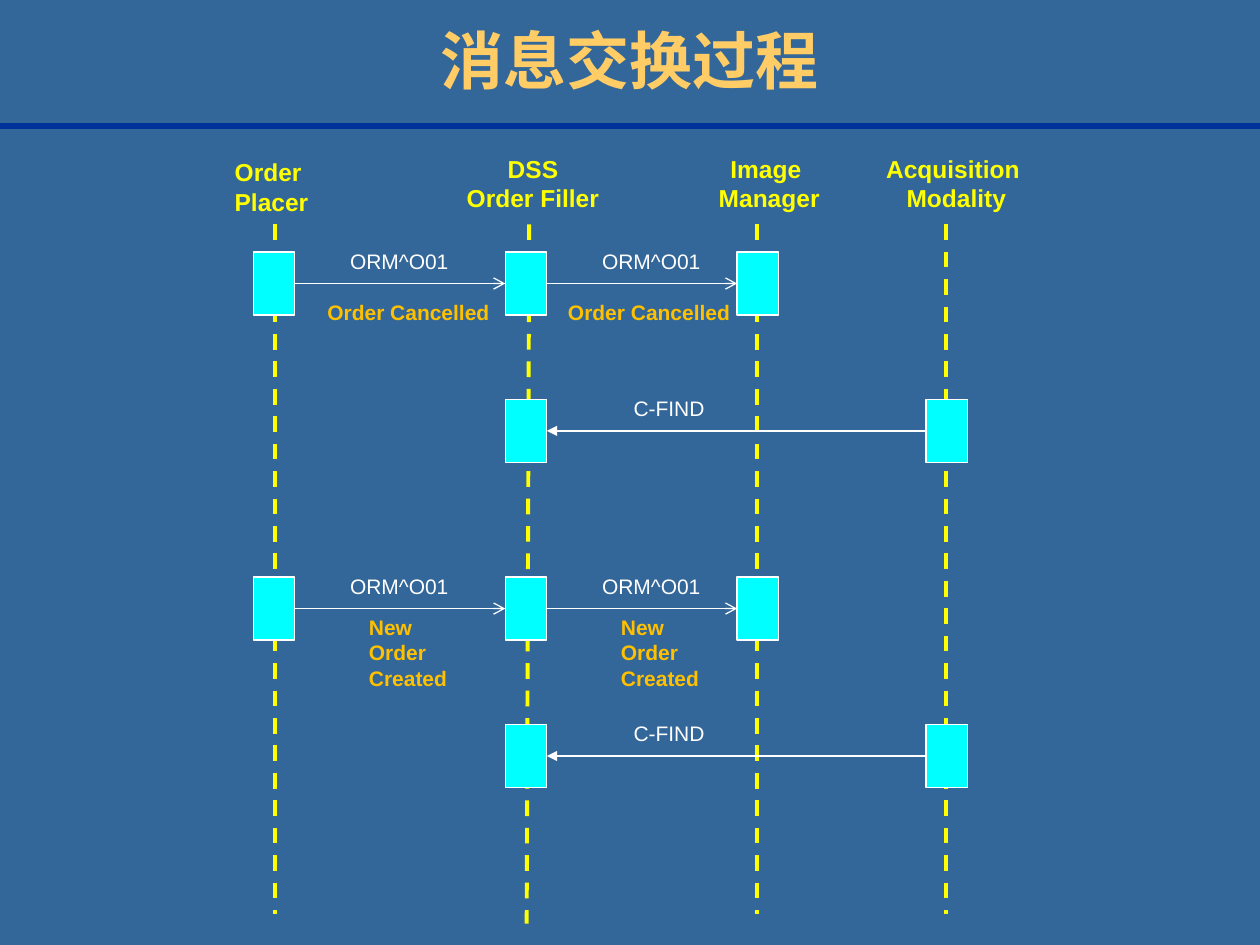
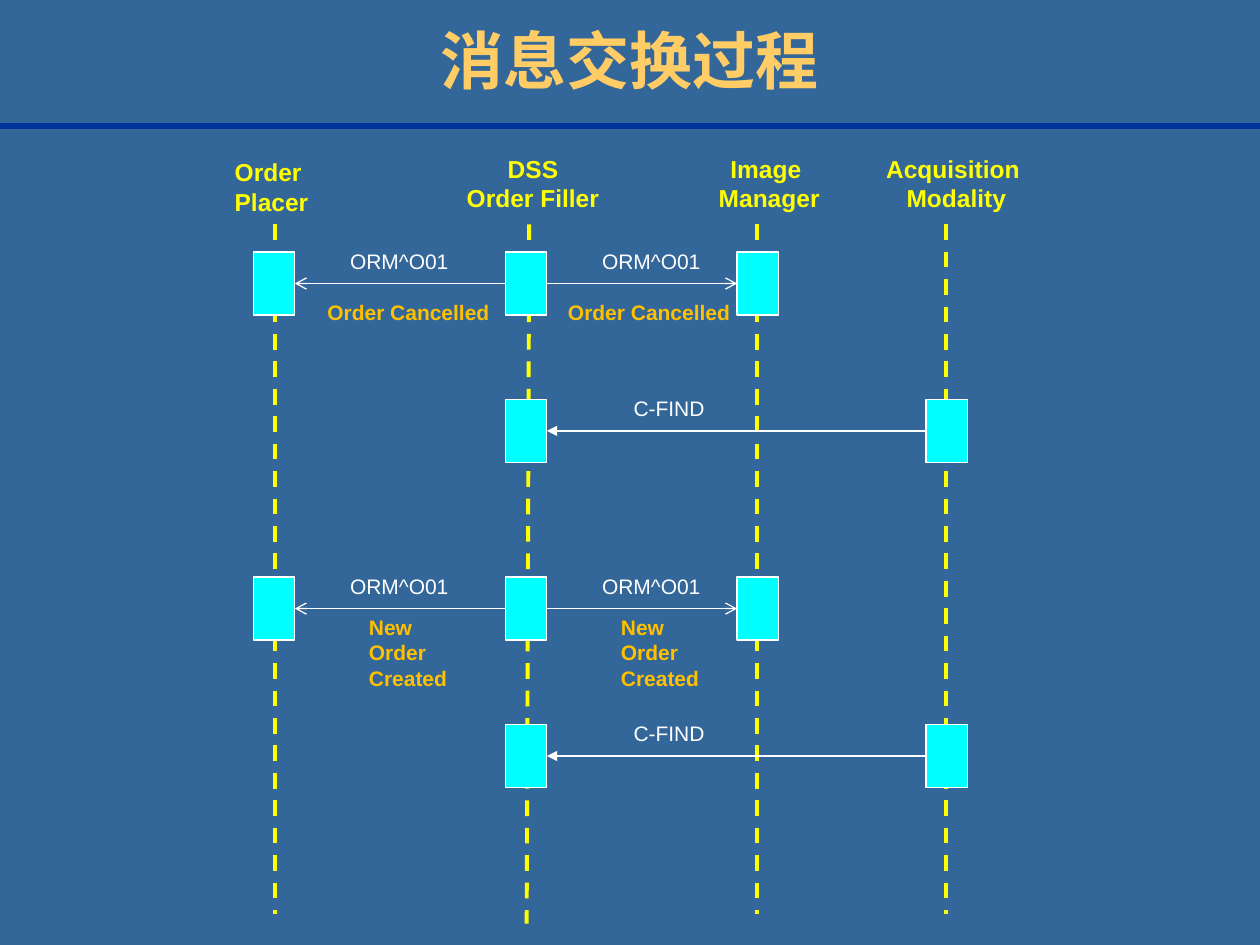
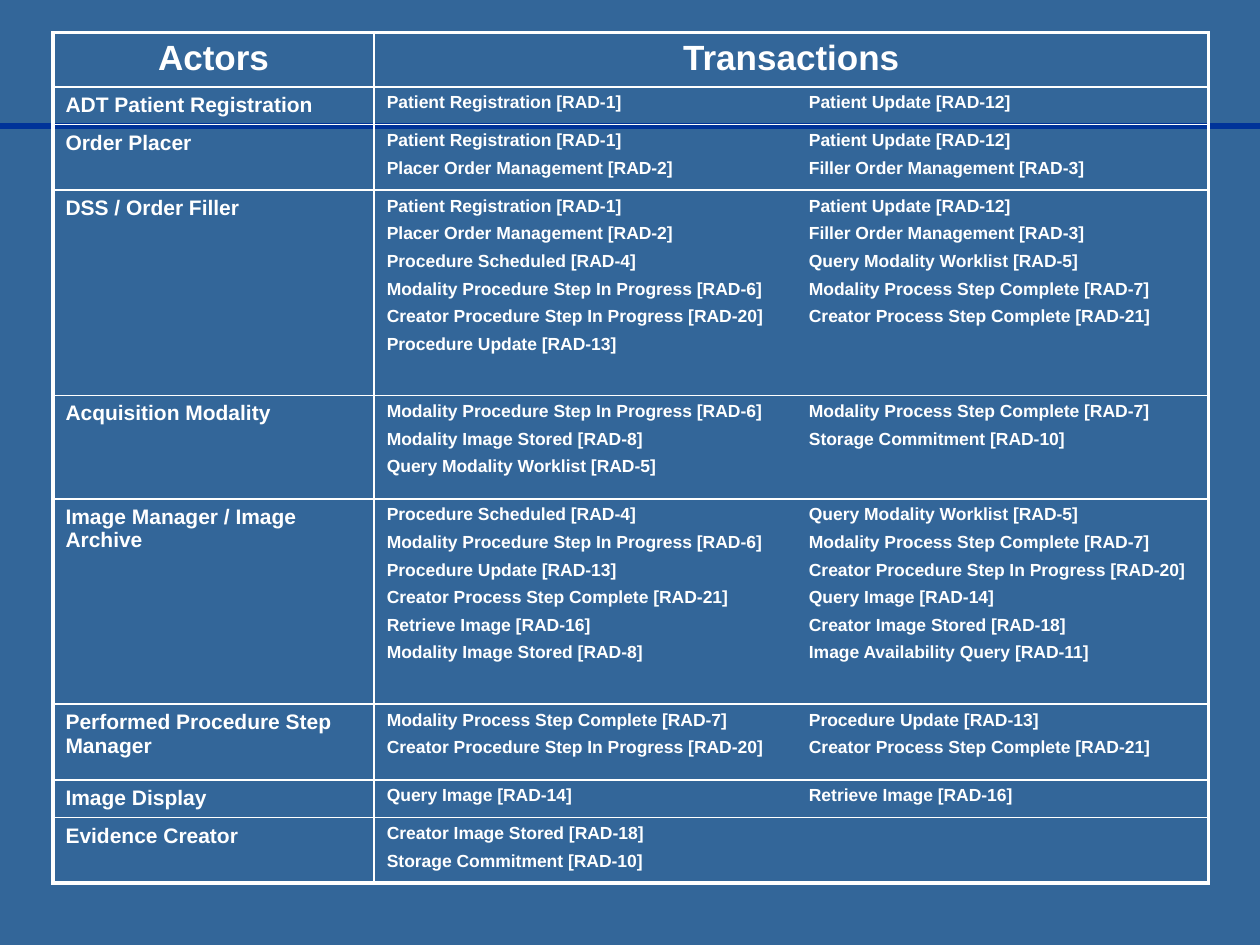
from dataclasses import dataclass

import lxml.etree
import pptx
import pptx.dml.color
import pptx.enum.dml
import pptx.enum.shapes
import pptx.enum.text
import pptx.oxml.ns
import pptx.util

Inches = pptx.util.Inches
Pt = pptx.util.Pt
Align = pptx.enum.text.PP_ALIGN
qn = pptx.oxml.ns.qn


@dataclass(frozen=True)
class Theme:
    font: str = "Arial"
    background: str = "336699"
    rule: str = "003399"
    title: str = "FFCC66"
    actor: str = "FFFF00"
    bar: str = "00FFFF"
    note: str = "FFC000"
    white: str = "FFFFFF"
    title_size: float = 36
    table_head_size: float = 20
    actor_size: float = 14
    body_size: float = 12
    small_size: float = 10
    paragraph_gap: float = 4.6
    thin: float = 0.75
    inner_border: float = 1
    outer_border: float = 2.25
    lifeline: float = 2.25
    rule_width: float = 3


@dataclass(frozen=True)
class Box:
    left: float
    top: float
    width: float
    height: float

    def inside(self, left, top, width, height):
        """Return a box whose position is counted from this box's corner."""
        return Box(self.left + left, self.top + top, width, height)

    def lengths(self):
        return [Inches(n) for n in (self.left, self.top, self.width, self.height)]


THEME = Theme()
BAR_WIDTH, BAR_HEIGHT = 0.33, 0.5
PLACER, FILLER, MANAGER, MODALITY = range(4)
BAR_LEFTS = [0.25, 2.25, 4.09, 5.59]
# Heading text, then its left, top and width within the diagram
ACTOR_HEADINGS = [
    ("Order \nPlacer", 0, 0.03, 0.79),
    ("DSS\nOrder Filler", 1.84, 0, 1.26),
    ("Image \nManager", 3.84, 0, 1.01),
    ("Acquisition \nModality", 5.17, 0, 1.32),
]
LIFELINE_TOP = 0.61
# Upper x, lower x and lower y of each lifeline
LIFELINES = [(0.42, 0.42, 6.08), (2.44, 2.42, 6.16), (4.25, 4.25, 6.08), (5.75, 5.75, 6.08)]
QUERY_DROP = 1.17
# Top of the round, its note, and the box of each note within the round
ROUNDS = [
    (0.83, "Order Cancelled", [(0.74, 0.33, 1.5, 0.3), (2.65, 0.33, 1.5, 0.3)]),
    (3.41, "New\nOrder\nCreated", [(1.07, 0.25, 0.83, 0.71), (3.07, 0.25, 0.83, 0.71)]),
]

TRANSACTION_NAMES = {
    1: "Patient Registration",
    2: "Placer Order Management",
    3: "Filler Order Management",
    4: "Procedure Scheduled",
    5: "Query Modality Worklist",
    6: "Modality Procedure Step In Progress",
    7: "Modality Process Step Complete",
    8: "Modality Image Stored",
    10: "Storage Commitment",
    11: "Image Availability Query",
    12: "Patient Update",
    13: "Procedure Update",
    14: "Query Image",
    16: "Retrieve Image",
    18: "Creator Image Stored",
    20: "Creator Procedure Step In Progress",
    21: "Creator Process Step Complete",
}
# Actor, row height, and the transaction numbers on each line
ACTOR_ROWS = [
    ("ADT Patient Registration", 0.3, [(1, 12)]),
    ("Order Placer", 0.52, [(1, 12), (2, 3)]),
    ("DSS / Order Filler", 1.63, [(1, 12), (2, 3), (4, 5), (6, 7), (20, 21), (13,)]),
    ("Acquisition Modality", 0.82, [(6, 7), (8, 10), (5,)]),
    ("Image Manager / Image Archive", 1.63,
     [(4, 5), (6, 7), (13, 20), (21, 14), (16, 18), (8, 11)]),
    ("Performed Procedure Step Manager", 0.6, [(7, 13), (20, 21)]),
    ("Image Display", 0.3, [(14, 16)]),
    ("Evidence Creator", 0.52, [(18,), (10,)]),
]
HEAD_HEIGHT = 0.43
COLUMN_WIDTHS = [2.55, 6.62]
SECOND_TRANSACTION_TAB = 3.35


def rgb(color):
    return pptx.dml.color.RGBColor.from_string(color)


def fill_text(frame, text, size, color, bold=False, align=Align.LEFT):
    frame.text = text
    for para in frame.paragraphs:
        para.alignment = align
        for span in para.runs:
            span.font.name = THEME.font
            span.font.size = Pt(size)
            span.font.bold = bold
            span.font.color.rgb = rgb(color)


def add_text(page, box, text, size, color, wrap=False, **style):
    frame = page.shapes.add_textbox(*box.lengths()).text_frame
    frame.word_wrap = wrap
    fill_text(frame, text, size, color, **style)
    return frame


def add_line(page, start, end, color, width):
    line = page.shapes.add_connector(
        pptx.enum.shapes.MSO_CONNECTOR.STRAIGHT, *[Inches(n) for n in (*start, *end)])
    line.line.color.rgb = rgb(color)
    line.line.width = Pt(width)
    lxml.etree.SubElement(line._element.spPr, qn("a:effectLst"))
    return line


def new_page(deck):
    page = deck.slides.add_slide(deck.slide_layouts[6])
    add_line(page, (0, 1), (10, 1), THEME.rule, THEME.rule_width)
    return page


def add_title(page, box, text):
    frame = add_text(page, box, text, THEME.title_size, THEME.title,
                     wrap=True, bold=True, align=Align.CENTER)
    frame.vertical_anchor = pptx.enum.text.MSO_ANCHOR.MIDDLE


def add_bar(page, box):
    bar = page.shapes.add_shape(pptx.enum.shapes.MSO_SHAPE.RECTANGLE, *box.lengths())
    bar.shadow.inherit = False
    bar.fill.solid()
    bar.fill.fore_color.rgb = rgb(THEME.bar)
    bar.line.color.rgb = rgb(THEME.white)
    bar.line.width = Pt(THEME.thin)
    return bar


def add_message(page, sender, receiver, arrowhead):
    """Join the facing sides of two bars with an arrow to the receiver."""
    rightward = sender.left < receiver.left
    arrow = add_line(page, (0, 0), (1, 1), THEME.white, THEME.thin)
    arrow.begin_connect(sender, 3 if rightward else 1)
    arrow.end_connect(receiver, 1 if rightward else 3)
    tail = lxml.etree.Element(qn("a:tailEnd"), type=arrowhead)
    arrow.line._get_or_add_ln().append(tail)


def add_actors(page, box):
    for (x_top, x_bottom, bottom), (text, left, top, width) in zip(LIFELINES, ACTOR_HEADINGS):
        line = add_line(page, (box.left + x_top, box.top + LIFELINE_TOP),
                        (box.left + x_bottom, box.top + bottom), THEME.actor, THEME.lifeline)
        line.line.dash_style = pptx.enum.dml.MSO_LINE.DASH
        add_text(page, box.inside(left, top, width, 0.57), text,
                 THEME.actor_size, THEME.actor, bold=True, align=Align.CENTER)


def add_round(page, box, note, note_places, from_filler):
    """Draw two order messages with notes, then the worklist query below."""
    def bar_at(actor, top):
        return add_bar(page, box.inside(BAR_LEFTS[actor], top, BAR_WIDTH, BAR_HEIGHT))

    def label(actor, indent, top, text):
        add_text(page, box.inside(BAR_LEFTS[actor] + indent, top - 0.08, 1.17, 0.3),
                 text, THEME.body_size, THEME.white, wrap=True)

    placer, filler, manager = [bar_at(actor, 0) for actor in (PLACER, FILLER, MANAGER)]
    first_pair = (filler, placer) if from_filler else (placer, filler)
    for sender, receiver in (first_pair, (filler, manager)):
        add_message(page, sender, receiver, "arrow")
    for actor, place in zip((PLACER, FILLER), note_places):
        label(actor, 0.67, 0, "ORM^O01")
        add_text(page, box.inside(*place), note, THEME.body_size, THEME.note, bold=True)

    query_filler, modality = [bar_at(actor, QUERY_DROP) for actor in (FILLER, MODALITY)]
    add_message(page, modality, query_filler, "triangle")
    label(FILLER, 0.92, QUERY_DROP, "C-FIND")


def add_sequence_page(deck, from_filler):
    page = new_page(deck)
    add_title(page, Box(0.75, 0, 8.5, 0.94), "消息交换过程")
    diagram = Box(1.76, 1.17, 6.49, 6.16)
    add_actors(page, diagram)
    for top, note, places in ROUNDS:
        add_round(page, diagram.inside(0, top, diagram.width, 1.67), note, places, from_filler)


def border_cell(cell, outer_sides):
    """Put the four borders ahead of the fill, as the schema orders them."""
    properties = cell._tc.get_or_add_tcPr()
    for index, side in enumerate("LRTB"):
        width = THEME.outer_border if side in outer_sides else THEME.inner_border
        line = lxml.etree.Element(qn(f"a:ln{side}"), w=str(Pt(width)))
        solid = lxml.etree.SubElement(line, qn("a:solidFill"))
        lxml.etree.SubElement(solid, qn("a:srgbClr"), val=THEME.white)
        properties.insert(index, line)


def set_transactions(frame, lines):
    text = "\n".join(
        "\t".join(f"{TRANSACTION_NAMES[number]} [RAD-{number}]" for number in line)
        for line in lines)
    fill_text(frame, text, THEME.small_size, THEME.white, bold=True)
    for index, (para, line) in enumerate(zip(frame.paragraphs, lines)):
        if len(line) > 1:
            tabs = lxml.etree.SubElement(para._p.get_or_add_pPr(), qn("a:tabLst"))
            lxml.etree.SubElement(tabs, qn("a:tab"),
                                  pos=str(Inches(SECOND_TRANSACTION_TAB)), algn="l")
        if index:
            para.space_before = Pt(THEME.paragraph_gap)


def add_transaction_table(page, box):
    row_count = len(ACTOR_ROWS) + 1
    table = page.shapes.add_table(row_count, 2, *box.lengths()).table
    table.first_row = table.horz_banding = False
    for column, width in zip(table.columns, COLUMN_WIDTHS):
        column.width = Inches(width)
    heights = [HEAD_HEIGHT] + [height for _, height, _ in ACTOR_ROWS]
    for index, (row, height) in enumerate(zip(table.rows, heights)):
        row.height = Inches(height)
        ends = {0: "T", row_count - 1: "B"}.get(index, "")
        for cell, side in zip(row.cells, "LR"):
            cell.fill.background()
            border_cell(cell, side + ends)
    for cell, text in zip(table.rows[0].cells, ("Actors", "Transactions")):
        fill_text(cell.text_frame, text, THEME.table_head_size, THEME.white,
                  bold=True, align=Align.CENTER)
    for index, (actor, _, lines) in enumerate(ACTOR_ROWS, 1):
        fill_text(table.cell(index, 0).text_frame, actor,
                  THEME.body_size, THEME.white, bold=True)
        set_transactions(table.cell(index, 1).text_frame, lines)


def main():
    deck = pptx.Presentation()
    deck.slide_width, deck.slide_height = Inches(10), Inches(7.5)
    backdrop = deck.slide_master.background.fill
    backdrop.solid()
    backdrop.fore_color.rgb = rgb(THEME.background)
    add_sequence_page(deck, from_filler=False)
    add_sequence_page(deck, from_filler=True)
    add_transaction_table(new_page(deck), Box(0.42, 0.26, 9.17, 6.74))
    deck.save("out.pptx")


if __name__ == "__main__":
    main()
